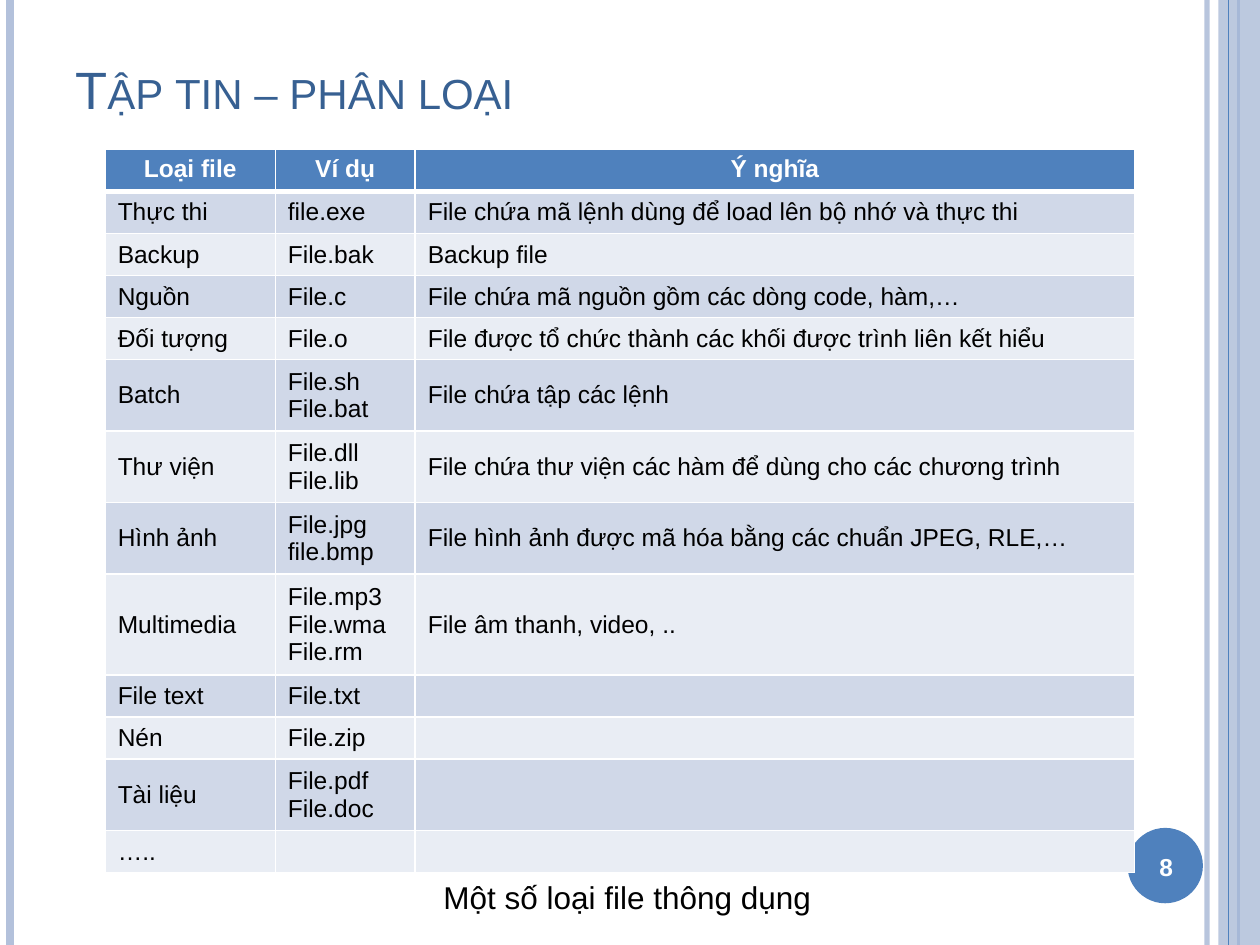
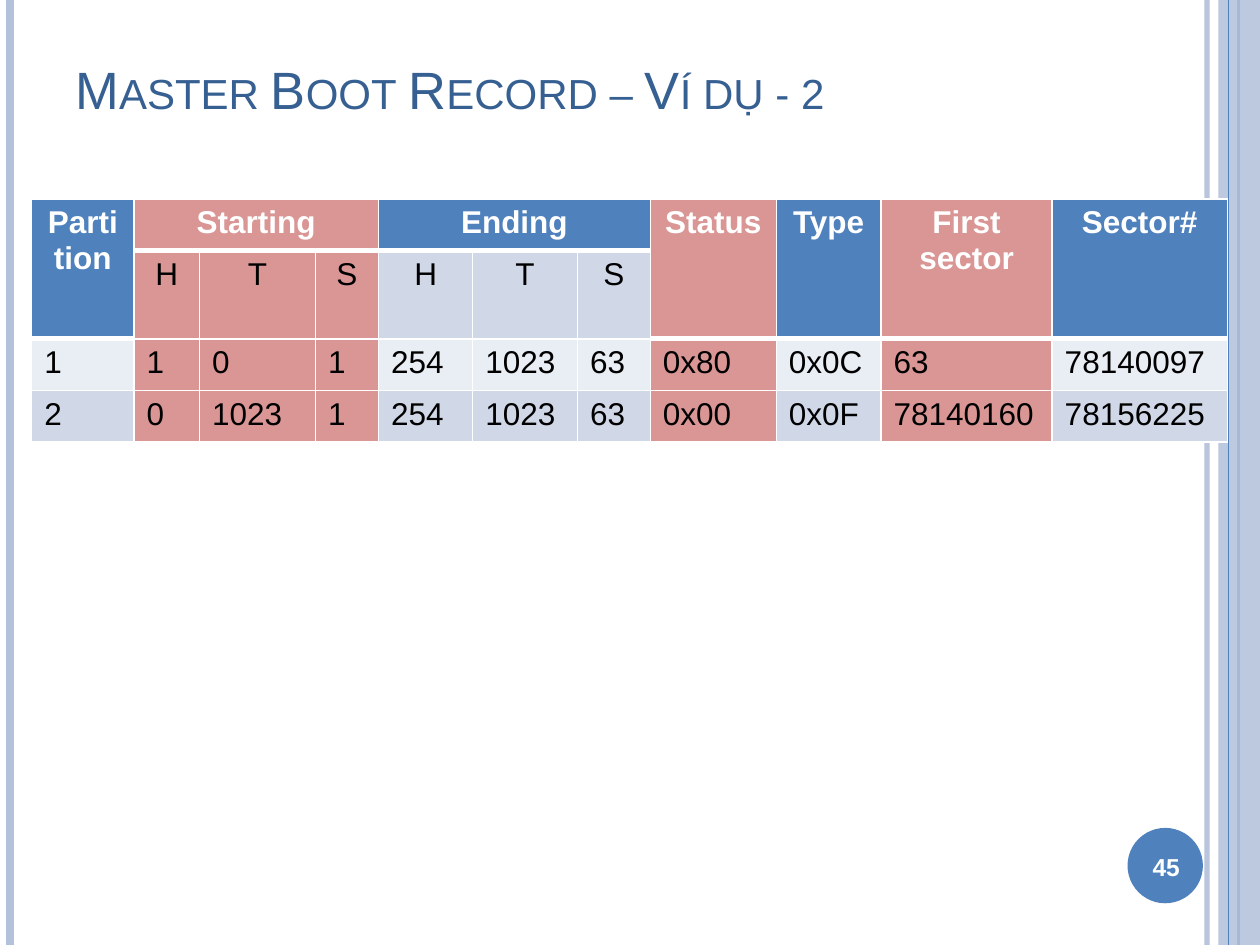
from dataclasses import dataclass

from lxml import etree
from pptx import Presentation
from pptx.dml.color import RGBColor
from pptx.enum.shapes import MSO_CONNECTOR, MSO_SHAPE
from pptx.enum.text import MSO_ANCHOR, PP_ALIGN
from pptx.oxml.ns import qn
from pptx.util import Cm, Pt

STRAIGHT = MSO_CONNECTOR.STRAIGHT
RECT, OVAL = MSO_SHAPE.RECTANGLE, MSO_SHAPE.OVAL
LEFT, CENTER = PP_ALIGN.LEFT, PP_ALIGN.CENTER
TOP, MIDDLE, BOTTOM = MSO_ANCHOR.TOP, MSO_ANCHOR.MIDDLE, MSO_ANCHOR.BOTTOM


@dataclass(frozen=True)
class Theme:
    font: str = "Arial"
    title: str = "376092"
    accent: str = "4F81BD"
    pale: str = "B3C1DB"
    red: str = "D99694"
    band_dark: str = "D0D8E8"
    band_light: str = "E9EDF4"
    white: str = "FFFFFF"
    black: str = "000000"
    title_size: int = 30
    large_size: int = 18
    small_size: int = 14


THEME = Theme()
SLIDE_W, SLIDE_H = 25.4, 19.05

FILE_TYPES = [
    ("Loại file", "Ví dụ", "Ý nghĩa"),
    ("Thực thi", "file.exe", "File chứa mã lệnh dùng để load lên bộ nhớ và thực thi"),
    ("Backup", "File.bak", "Backup file"),
    ("Nguồn", "File.c", "File chứa mã nguồn gồm các dòng code, hàm,…"),
    ("Đối tượng", "File.o", "File được tổ chức thành các khối được trình liên kết hiểu"),
    ("Batch", "File.sh\nFile.bat", "File chứa tập các lệnh"),
    ("Thư viện", "File.dll\nFile.lib", "File chứa thư viện các hàm để dùng cho các chương trình"),
    ("Hình ảnh", "File.jpg\nfile.bmp", "File hình ảnh được mã hóa bằng các chuẩn JPEG, RLE,…"),
    ("Multimedia", "File.mp3\nFile.wma\nFile.rm", "File âm thanh, video, .."),
    ("File text", "File.txt", ""),
    ("Nén", "File.zip", ""),
    ("Tài liệu", "File.pdf\nFile.doc", ""),
    ("…..", "", ""),
]
PARTITIONS = [
    ("Partition", "Starting", "", "", "Ending", "", "", "Status", "Type", "First sector", "Sector#"),
    ("", "H", "T", "S", "H", "T", "S", "", "", "", ""),
    ("1", "1", "0", "1", "254", "1023", "63", "0x80", "0x0C", "63", "78140097"),
    ("2", "0", "1023", "1", "254", "1023", "63", "0x00", "0x0F", "78140160", "78156225"),
]
RED_COLUMNS = {1, 2, 3, 7, 9}
TALL_HEADERS = (0, 7, 8, 9, 10)
WIDE_HEADERS = ((1, 3), (4, 6))


# Text
def format_text(tf, size, color, bold=False, align=LEFT):
    for p in tf.paragraphs:
        p.alignment = align
        for r in p.runs:
            r.font.name = THEME.font
            r.font.size = Pt(size)
            r.font.bold = bold
            r.font.color.rgb = RGBColor.from_string(color)
        if not p.runs:
            etree.SubElement(p._p, qn("a:endParaRPr"), sz=str(size * 100))


def add_text(slide, text, box, size, color, bold=False, align=LEFT, anchor=TOP, wrap=True):
    tf = slide.shapes.add_textbox(*map(Cm, box)).text_frame
    tf.word_wrap = wrap
    tf.vertical_anchor = anchor
    tf.text = text
    format_text(tf, size, color, bold, align)
    return tf


# Shapes and lines
def set_alpha(fill_parent, percent):
    color = next(fill_parent.iter(qn("a:srgbClr")))
    etree.SubElement(color, qn("a:alpha"), val=str(percent * 1000))


def add_rule(slide, x, color, width, alpha=100):
    c = slide.shapes.add_connector(STRAIGHT, Cm(x), 0, Cm(x), Cm(SLIDE_H))
    c.line.color.rgb = RGBColor.from_string(color)
    c.line.width = Pt(width)
    if alpha < 100:
        set_alpha(c.line._get_or_add_ln(), alpha)
    etree.SubElement(c._element.spPr, qn("a:effectLst"))


def add_filled(slide, kind, box, color, alpha=100):
    sp = slide.shapes.add_shape(kind, *map(Cm, box))
    sp.shadow.inherit = False
    sp.fill.solid()
    sp.fill.fore_color.rgb = RGBColor.from_string(color)
    sp.line.fill.background()
    if alpha < 100:
        set_alpha(sp._element.spPr, alpha)


# Tables
def style_cell(cell, fill, bottom_width):
    tc_pr = cell._tc.get_or_add_tcPr()
    for side, width in (("L", 1), ("R", 1), ("T", 1), ("B", bottom_width)):
        ln = etree.SubElement(tc_pr, qn(f"a:ln{side}"), w=str(Pt(width)))
        solid = etree.SubElement(ln, qn("a:solidFill"))
        etree.SubElement(solid, qn("a:srgbClr"), val=THEME.white)
    cell.fill.solid()
    cell.fill.fore_color.rgb = RGBColor.from_string(fill)


def add_grid(slide, data, left, top, col_widths, row_heights, size,
             red_columns=(), centered_rows=1, body_anchor=TOP, tall_headers=()):
    shape = slide.shapes.add_table(len(data), len(col_widths), Cm(left), Cm(top),
                                   Cm(sum(col_widths)), Cm(sum(row_heights)))
    table = shape.table
    table.first_row = table.horz_banding = False
    for column, width in zip(table.columns, col_widths):
        column.width = Cm(width)
    for row, height in zip(table.rows, row_heights):
        row.height = Cm(height)
    for i, texts in enumerate(data):
        for j, text in enumerate(texts):
            cell = table.cell(i, j)
            header = i == 0 or (i == 1 and j in tall_headers)
            band = THEME.band_dark if i % 2 else THEME.band_light
            fill = THEME.red if j in red_columns else THEME.accent if header else band
            style_cell(cell, fill, 3 if header else 1)
            cell.vertical_anchor = TOP if header else body_anchor
            cell.text = text
            format_text(cell.text_frame, size, THEME.white if header else THEME.black,
                        header, CENTER if i < centered_rows else LEFT)
    return table


# Shared slide frame
def add_slide(prs, title, number):
    slide = prs.slides.add_slide(prs.slide_layouts[6])
    add_rule(slide, 24.33, THEME.pale, 3, 93)
    add_rule(slide, 0.2, THEME.pale, 4.5)
    add_rule(slide, 24.97, THEME.accent, 1.5)
    add_filled(slide, RECT, (24.56, 0, 0.84, SLIDE_H), THEME.pale, 87)
    add_rule(slide, 24.77, THEME.accent, 0.75)
    add_filled(slide, OVAL, (22.73, 16.69, 1.52, 1.52), THEME.accent)
    tf = add_text(slide, title, (1.27, 0.76, 21.39, 1.78), THEME.title_size,
                  THEME.title, anchor=BOTTOM)
    tf.paragraphs[0].runs[0]._r.get_or_add_rPr().set("cap", "small")
    add_text(slide, str(number), (22.66, 16.74, 1.7, 1.45), THEME.small_size,
             THEME.white, True, CENTER, MIDDLE)
    return slide


def build_file_types(prs):
    slide = add_slide(prs, "Tập tin – phân loại", 8)
    add_grid(slide, FILE_TYPES, 2.12, 3.01, (3.43, 2.82, 14.5),
             [0.76] * len(FILE_TYPES), THEME.small_size, body_anchor=MIDDLE)
    add_text(slide, "Một số loại file thông dụng", (8.69, 17.58, 8, 1.02),
             THEME.large_size, THEME.black, wrap=False)


def build_partitions(prs):
    slide = add_slide(prs, "Master Boot Record – Ví dụ - 2", 45)
    widths = (2.06, 1.32, 2.34, 1.27, 1.9, 2.11, 1.47, 2.54, 2.11, 3.45, 3.53)
    table = add_grid(slide, PARTITIONS, 0.64, 4.01, widths, (1.04, 1.68, 1.04, 1.04),
                     THEME.large_size, RED_COLUMNS, centered_rows=2,
                     tall_headers=TALL_HEADERS)
    for j in TALL_HEADERS:
        table.cell(0, j).merge(table.cell(1, j))
    for first, last in WIDE_HEADERS:
        table.cell(0, first).merge(table.cell(0, last))


def main():
    prs = Presentation()
    prs.slide_width, prs.slide_height = Cm(SLIDE_W), Cm(SLIDE_H)
    build_file_types(prs)
    build_partitions(prs)
    prs.save("out.pptx")


if __name__ == "__main__":
    main()
